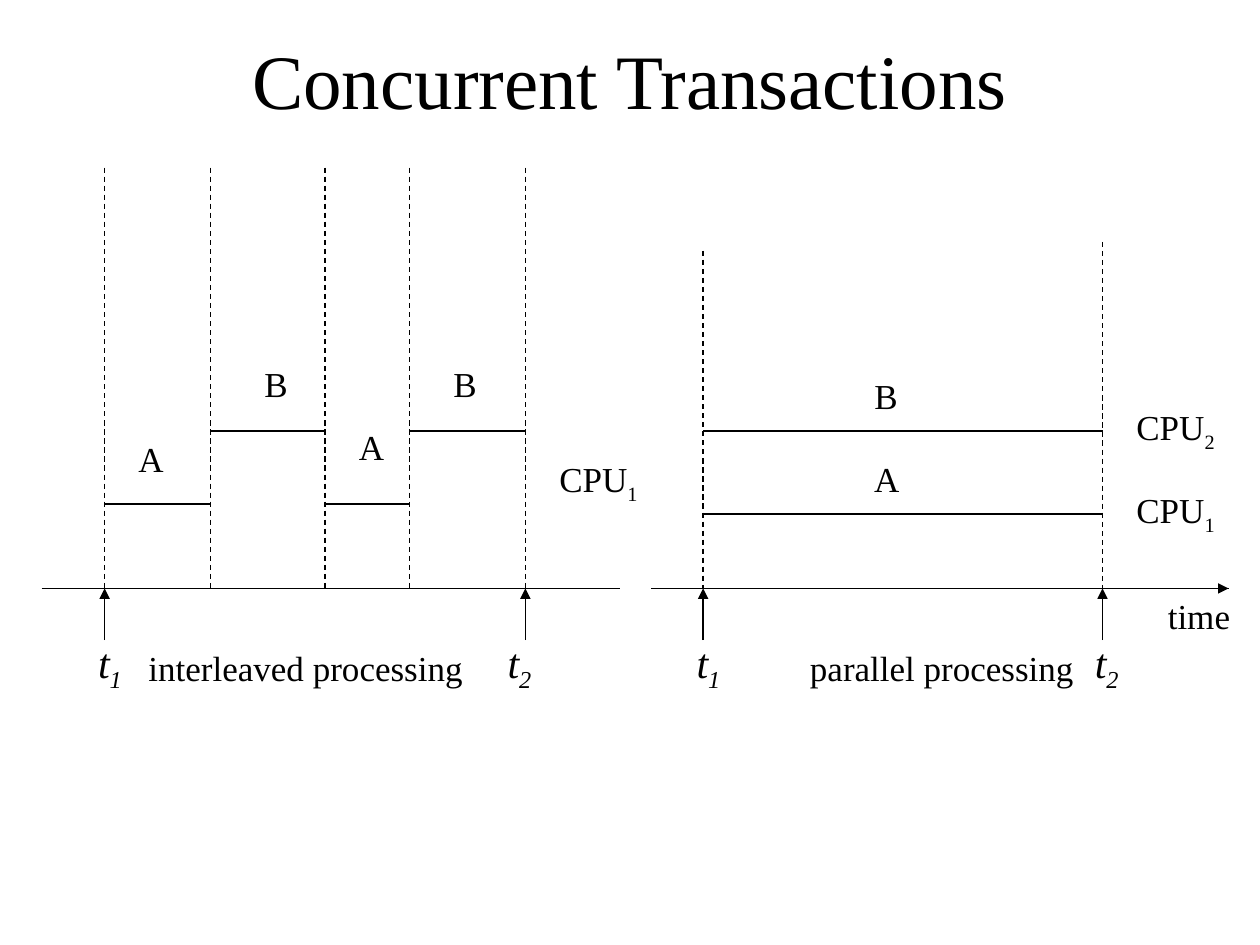
"""Build the Concurrent Transactions timing diagram slide."""
from typing import NamedTuple

from lxml import etree
from pptx import Presentation
from pptx.dml.color import RGBColor
from pptx.enum.dml import MSO_LINE
from pptx.enum.shapes import MSO_CONNECTOR
from pptx.enum.text import MSO_ANCHOR, MSO_AUTO_SIZE, PP_ALIGN
from pptx.oxml.ns import qn
from pptx.util import Inches, Pt

STRAIGHT = MSO_CONNECTOR.STRAIGHT
DASH = MSO_LINE.DASH
MIDDLE = MSO_ANCHOR.MIDDLE
CENTER = PP_ALIGN.CENTER
FIT_SHAPE = MSO_AUTO_SIZE.SHAPE_TO_FIT_TEXT
NO_FIT = MSO_AUTO_SIZE.NONE

BLACK = RGBColor(0x00, 0x00, 0x00)
WHITE = RGBColor(0xFF, 0xFF, 0xFF)
FONT = "Times New Roman"
AXIS_Y = 4.67
TICK_Y = 5.08


class Line(NamedTuple):
    x1: float
    y1: float
    x2: float
    y2: float
    weight: float = 0.75
    dashed: bool = False
    arrow: bool = False


class Label(NamedTuple):
    x: float
    y: float
    width: float
    text: str
    sub: str = ""
    height: float = 0.44
    size: int = 20
    italic: bool = False


def guide(x: float, top: float) -> Line:
    return Line(x, top, x, AXIS_Y, dashed=True)


def tick(x: float) -> Line:
    return Line(x, TICK_Y, x, AXIS_Y, arrow=True)


def run_bar(x1: float, x2: float, y: float) -> Line:
    return Line(x1, y, x2, y, weight=1.5)


def time_label(x: float, sub: str) -> Label:
    return Label(x, 5, 0.39, "t", sub, height=0.56, size=24, italic=True)


def cpu_label(x: float, y: float, sub: str) -> Label:
    return Label(x, y, 0.82, "CPU", sub, height=0.48)


LINES = [
    Line(0.33, AXIS_Y, 4.92, AXIS_Y),
    Line(5.17, AXIS_Y, 9.75, AXIS_Y),
    Line(9, AXIS_Y, 9.75, AXIS_Y, arrow=True),
    *[guide(x, 1.33) for x in (0.83, 1.67, 2.58, 3.25, 4.17)],
    guide(5.58, 1.99),
    guide(8.75, 1.92),
    *[tick(x) for x in (0.83, 4.17, 5.58, 8.75)],
    run_bar(0.83, 1.67, 4),
    run_bar(1.67, 2.58, 3.42),
    run_bar(2.58, 3.25, 4),
    run_bar(3.25, 4.17, 3.42),
    run_bar(5.58, 8.75, 3.42),
    run_bar(5.58, 8.75, 4.08),
]

LABELS = [
    Label(1.08, TICK_Y, 2.75, "interleaved processing"),
    Label(6.33, TICK_Y, 2.35, "parallel processing"),
    Label(9.17, AXIS_Y, 0.75, "time"),
    time_label(0.68, "1"),
    time_label(3.93, "2"),
    time_label(5.43, "1"),
    time_label(8.59, "2"),
    cpu_label(4.34, 3.58, "1"),
    cpu_label(8.92, 3.83, "1"),
    cpu_label(8.92, 3.17, "2"),
    Label(1, 3.42, 0.4, "A"),
    Label(2, 2.83, 0.38, "B"),
    Label(2.75, 3.33, 0.4, "A"),
    Label(3.5, 2.83, 0.38, "B"),
    Label(6.84, 2.92, 0.38, "B"),
    Label(6.84, 3.58, 0.4, "A"),
]


def add_run(p, text: str, size: int, italic: bool = False, sub: bool = False) -> None:
    r = p.add_run()
    r.text = text
    r.font.name = FONT
    r.font.size = Pt(size)
    r.font.italic = italic
    r.font.color.rgb = BLACK
    if sub:
        r._r.get_or_add_rPr().set("baseline", "-25000")


def draw_line(s, line: Line) -> None:
    ends = [Inches(v) for v in (line.x1, line.y1, line.x2, line.y2)]
    sp = s.shapes.add_connector(STRAIGHT, *ends)
    sp.line.color.rgb = BLACK
    sp.line.width = Pt(line.weight)
    if line.dashed:
        sp.line.dash_style = DASH
    if line.arrow:
        etree.SubElement(sp.line._get_or_add_ln(), qn("a:tailEnd"), type="triangle")
    etree.SubElement(sp._element.spPr, qn("a:effectLst"))


def draw_label(s, label: Label) -> None:
    box = [Inches(v) for v in (label.x, label.y, label.width, label.height)]
    tf = s.shapes.add_textbox(*box).text_frame
    tf.word_wrap = False
    tf.auto_size = FIT_SHAPE
    p = tf.paragraphs[0]
    add_run(p, label.text, label.size, label.italic)
    if label.sub:
        add_run(p, label.sub, label.size, label.italic, sub=True)


def draw_title(s, text: str) -> None:
    sp = s.shapes.title
    sp.left, sp.top = Inches(0.75), Inches(0)
    sp.width, sp.height = Inches(8.5), Inches(1.25)
    tf = sp.text_frame
    tf.vertical_anchor = MIDDLE
    tf.auto_size = NO_FIT
    p = tf.paragraphs[0]
    p.alignment = CENTER
    add_run(p, text, 44)


def main() -> None:
    prs = Presentation()
    prs.slide_width, prs.slide_height = Inches(10), Inches(7.5)
    s = prs.slides.add_slide(prs.slide_layouts[5])
    s.background.fill.solid()
    s.background.fill.fore_color.rgb = WHITE
    draw_title(s, "Concurrent Transactions")
    for line in LINES:
        draw_line(s, line)
    for label in LABELS:
        draw_label(s, label)
    prs.save("out.pptx")


if __name__ == "__main__":
    main()
